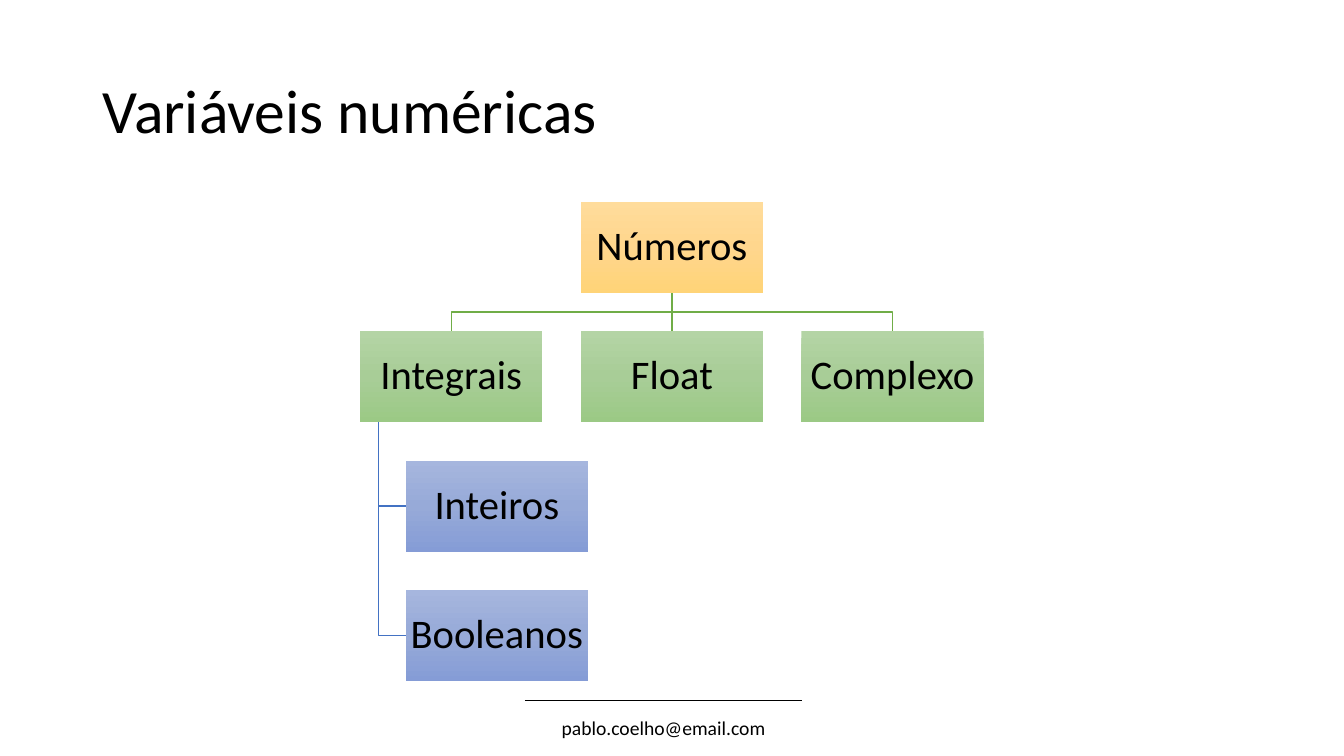
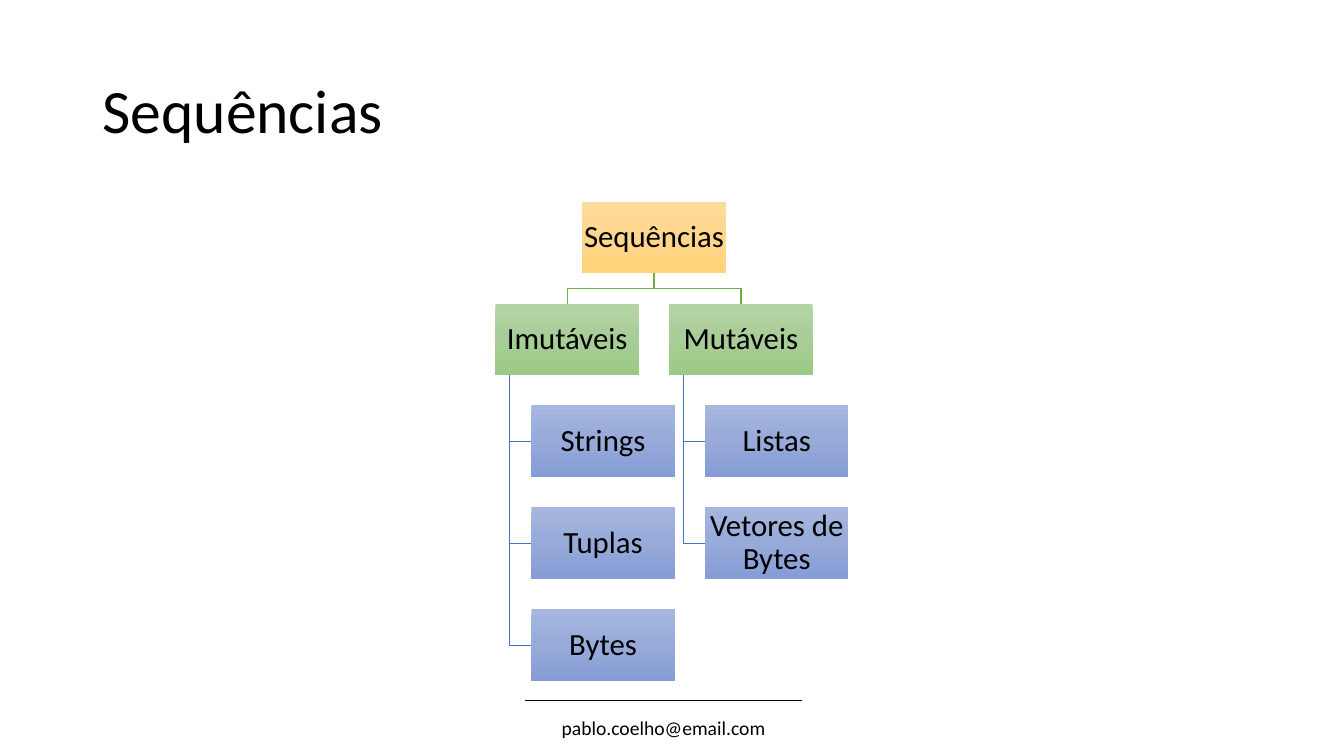
from copy import deepcopy

from lxml import etree
from pptx import Presentation
from pptx.dml.color import RGBColor
from pptx.enum.shapes import MSO_CONNECTOR, MSO_SHAPE
from pptx.enum.text import MSO_ANCHOR, MSO_AUTO_SIZE, PP_ALIGN
from pptx.oxml.ns import qn
from pptx.util import Pt

RECT = MSO_SHAPE.RECTANGLE
STRAIGHT = MSO_CONNECTOR.STRAIGHT
MIDDLE = MSO_ANCHOR.MIDDLE
NO_FIT = MSO_AUTO_SIZE.NONE
LEFT, CENTER = PP_ALIGN.LEFT, PP_ALIGN.CENTER

BLACK = RGBColor(0x00, 0x00, 0x00)
GREEN_LINE = RGBColor(0x70, 0xAD, 0x47)
BLUE_LINE = RGBColor(0x43, 0x72, 0xC3)
YELLOW = (RGBColor(0xFF, 0xDC, 0x9B), RGBColor(0xFF, 0xD6, 0x8D), RGBColor(0xFF, 0xD4, 0x78))
GREEN = (RGBColor(0xB4, 0xD4, 0xA5), RGBColor(0xA8, 0xCD, 0x97), RGBColor(0x9B, 0xC9, 0x85))
BLUE = (RGBColor(0xA6, 0xB6, 0xDE), RGBColor(0x97, 0xAA, 0xD8), RGBColor(0x85, 0x9C, 0xD6))

FONT = "Calibri"
TITLE_BOX = (66, 28.8, 828, 104.4)
TREE_BOX = (66, 144, 828, 342.5)
FOOTER_BOX = (375, 500.4, 198, 24.5)

ASPECT = 2
GAP = 0.42
INDENT = 0.5
STEM = 0.2

TREES = [
    ("Variáveis numéricas", "Números", 29, [
        ("Integrais", ["Inteiros", "Booleanos"]),
        ("Float", []),
        ("Complexo", []),
    ]),
    ("Sequências", "Sequências", 22, [
        ("Imutáveis", ["Strings", "Tuplas", "Bytes"]),
        ("Mutáveis", ["Listas", "Vetores de Bytes"]),
    ]),
]


def write(sp, text, size, align, spacing=None):
    tf = sp.text_frame
    tf.word_wrap = True
    tf.text = text
    p = tf.paragraphs[0]
    p.alignment = align
    p.line_spacing = spacing
    p.font.name = FONT
    p.font.size = Pt(size)
    p.font.color.rgb = BLACK
    return tf


def add_line(shapes, x1, y1, x2, y2, color, width):
    line = shapes.add_connector(STRAIGHT, Pt(x1), Pt(y1), Pt(x2), Pt(y2))
    line.line.color.rgb = color
    line.line.width = Pt(width)
    etree.SubElement(line.element.spPr, qn("a:effectLst"))
    return line


def add_path(shapes, points, color):
    start, *rest = [(Pt(x), Pt(y)) for x, y in points]
    builder = shapes.build_freeform(*start)
    builder.add_line_segments(rest, close=False)
    sp = builder.convert_to_shape()
    sp.shadow.inherit = False
    sp.fill.background()
    sp.line.color.rgb = color
    sp.line.width = Pt(1)


def fill_gradient(sp, colors):
    fill = sp.fill
    fill.gradient()
    fill.gradient_angle = 270
    stops = sp.element.spPr.find(qn("a:gradFill")).find(qn("a:gsLst"))
    stops.insert(1, deepcopy(stops[0]))
    for i, (stop, color) in enumerate(zip(fill.gradient_stops, colors)):
        stop.position = i / 2
        stop.color.rgb = color


def add_node(shapes, text, x, y, h, size, colors):
    sp = shapes.add_shape(RECT, Pt(x), Pt(y), Pt(ASPECT * h), Pt(h))
    sp.shadow.inherit = False
    sp.line.fill.background()
    fill_gradient(sp, colors)
    tf = write(sp, text, size, CENTER, 0.9)
    tf.vertical_anchor = MIDDLE
    tf.margin_left = tf.margin_right = tf.margin_top = tf.margin_bottom = Pt(1)


def add_branch(shapes, head, leaves, x, y, h, size):
    add_node(shapes, head, x, y, h, size, GREEN)
    stem_x, leaf_x = x + STEM * h, x + INDENT * h
    for i, leaf in enumerate(leaves, 1):
        leaf_y = y + i * (1 + GAP) * h
        mid_y = leaf_y + h / 2
        add_path(shapes, [(stem_x, y + h), (stem_x, mid_y), (leaf_x, mid_y)], BLUE_LINE)
        add_node(shapes, leaf, leaf_x, leaf_y, h, size, BLUE)


def add_tree(slide, box, root, size, branches):
    left, top, width, height = box
    rows = 2 + max(len(leaves) for _, leaves in branches)
    h = height / (rows + (rows - 1) * GAP)
    pitch = (ASPECT + GAP) * h
    heads_w = (len(branches) - 1) * pitch + ASPECT * h
    tree_w = heads_w + (INDENT * h if branches[-1][1] else 0)
    x0 = left + (width - tree_w) / 2
    root_x = x0 + heads_w / 2
    head_y = top + (1 + GAP) * h
    bus_y = top + (1 + GAP / 2) * h

    shapes = slide.shapes.add_group_shape().shapes
    for i, (head, leaves) in enumerate(branches):
        x = x0 + i * pitch
        head_x = x + ASPECT * h / 2
        if abs(head_x - root_x) < 1:
            add_line(shapes, root_x, top + h, root_x, head_y, GREEN_LINE, 1)
        else:
            add_path(shapes, [(root_x, top + h), (root_x, bus_y),
                              (head_x, bus_y), (head_x, head_y)], GREEN_LINE)
        add_branch(shapes, head, leaves, x, head_y, h, size)
    add_node(shapes, root, root_x - ASPECT * h / 2, top, h, size, YELLOW)


def add_title(slide, box, text):
    sp = slide.shapes.title
    sp.left, sp.top, sp.width, sp.height = map(Pt, box)
    tf = write(sp, text, 44, LEFT, 0.9)
    tf.auto_size = NO_FIT
    tf.vertical_anchor = MIDDLE


def add_layout_footer(layout, slide, box):
    x, y, w, h = box
    line = add_line(slide.shapes, x, y, x + w, y, BLACK, 0.75)
    sp = slide.shapes.add_textbox(Pt(x), Pt(y + 7.2), Pt(w), Pt(h))
    write(sp, "pablo.coelho@email.com", 14, CENTER)
    for part in (line, sp):
        layout.shapes.element.append(part.element)


def main():
    prs = Presentation()
    prs.slide_width, prs.slide_height = Pt(960), Pt(540)
    layout = prs.slide_layouts[5]
    for title, root, size, branches in TREES:
        slide = prs.slides.add_slide(layout)
        add_title(slide, TITLE_BOX, title)
        add_tree(slide, TREE_BOX, root, size, branches)
    add_layout_footer(layout, prs.slides[0], FOOTER_BOX)
    prs.save("out.pptx")


if __name__ == "__main__":
    main()
